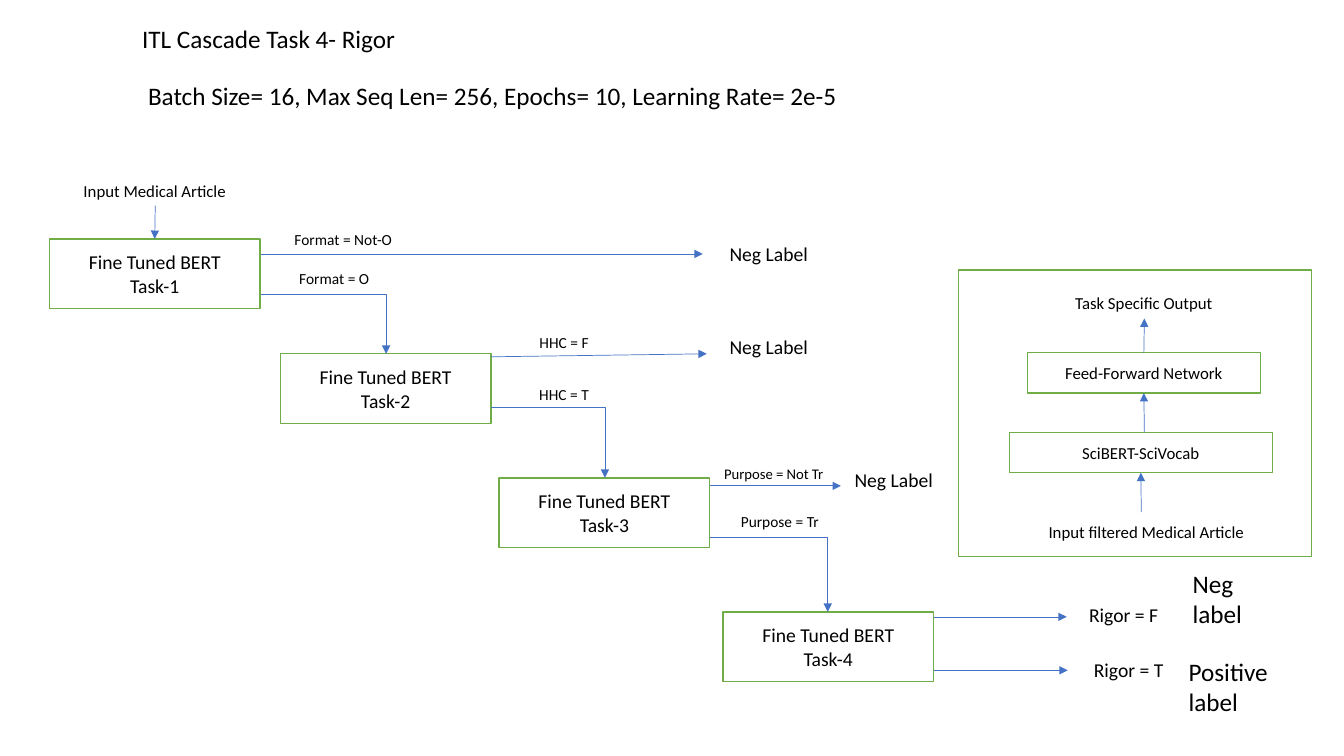
from lxml import etree
from pptx import Presentation
from pptx.dml.color import RGBColor
from pptx.enum.shapes import MSO_CONNECTOR, MSO_SHAPE
from pptx.enum.text import MSO_ANCHOR, PP_ALIGN
from pptx.oxml.ns import qn
from pptx.util import Inches, Pt

RECT = MSO_SHAPE.RECTANGLE
STRAIGHT, ELBOW = MSO_CONNECTOR.STRAIGHT, MSO_CONNECTOR.ELBOW
LEFT, CENTER = PP_ALIGN.LEFT, PP_ALIGN.CENTER
TOP, MIDDLE = MSO_ANCHOR.TOP, MSO_ANCHOR.MIDDLE
TOP_SITE, BOTTOM_SITE = 0, 2

FONT = "Calibri"
COLORS = {"text": "000000", "fill": "FFFFFF", "border": "70AD47", "arrow": "4472C4"}

STAGE_W, STAGE_H = 2.09, 0.69
STAGES = [(0.49, 2.37), (2.78, 3.51), (4.95, 4.74), (7.17, 6.07)]

# Arrows leaving the stages: x1, y1, x2, y2
OUTCOME_ARROWS = [
    (2.59, 2.52, 6.97, 2.52),
    (4.87, 3.54, 7.01, 3.51),
    (7.04, 4.82, 8.34, 4.82),
    (9.26, 6.12, 10.58, 6.12),
    (9.26, 6.65, 10.59, 6.65),
]
NEXT_STAGE_ARROWS = [
    (2.59, 2.92, 3.83, 3.51),
    (4.87, 4.04, 6.0, 4.74),
    (7.04, 5.33, 8.21, 6.07),
]

# Centred labels: text, left, top, width, height, size
LABELS = [
    ("Input Medical Article", 0.62, 1.74, 1.83, 0.3, 12),
    ("Format = Not-O", 2.49, 2.23, 1.83, 0.29, 11),
    ("Format = O", 2.6, 2.62, 1.43, 0.29, 11),
    ("HHC = F", 4.88, 3.26, 1.43, 0.29, 11),
    ("HHC = T", 4.88, 3.77, 1.43, 0.29, 11),
    ("Purpose = Not Tr", 6.96, 4.56, 1.43, 0.29, 10.5),
    ("Purpose = Tr", 6.98, 5.03, 1.51, 0.29, 11),
    ("Neg Label", 7.04, 2.35, 1.17, 0.34, 14),
    ("Neg Label", 7.04, 3.27, 1.17, 0.34, 14),
    ("Neg Label", 8.28, 4.59, 1.17, 0.34, 14),
    ("Rigor = F", 10.56, 5.93, 1.17, 0.34, 14),
    ("Rigor = T", 10.61, 6.48, 1.17, 0.34, 14),
    ("Input filtered Medical Article", 10.21, 5.13, 2.32, 0.3, 12),
    ("Task Specific Output", 10.19, 2.86, 2.31, 0.3, 12),
]


def color(name):
    return RGBColor.from_string(COLORS[name])


def write(sp, lines, size, align, anchor):
    tf = sp.text_frame
    tf.word_wrap = True
    tf.vertical_anchor = anchor
    for i, line in enumerate(lines):
        p = tf.add_paragraph() if i else tf.paragraphs[0]
        p.text = line
        p.alignment = align
        p.font.name = FONT
        p.font.size = Pt(size)
        p.font.color.rgb = color("text")


def add_label(slide, text, x, y, w, h, size, align=CENTER):
    sp = slide.shapes.add_textbox(Inches(x), Inches(y), Inches(w), Inches(h))
    write(sp, [text], size, align, TOP)


def add_box(slide, x, y, w, h, lines=(), size=12):
    sp = slide.shapes.add_shape(RECT, Inches(x), Inches(y), Inches(w), Inches(h))
    sp.shadow.inherit = False
    sp.fill.solid()
    sp.fill.fore_color.rgb = color("fill")
    sp.line.color.rgb = color("border")
    sp.line.width = Pt(1)
    write(sp, lines, size, CENTER, MIDDLE)
    return sp


def add_arrow(slide, x1, y1, x2, y2, kind=STRAIGHT, begin=None, end=None):
    """begin and end are boxes joined at their top and bottom sides."""
    cx = slide.shapes.add_connector(kind, Inches(x1), Inches(y1), Inches(x2), Inches(y2))
    if begin:
        cx.begin_connect(*begin)
    if end:
        cx.end_connect(*end)
    cx.line.color.rgb = color("arrow")
    cx.line.width = Pt(0.5)
    sp_pr = cx._element.spPr
    if kind == ELBOW:  # a single bend: across, then down
        sp_pr.find(qn("a:prstGeom")).set("prst", "bentConnector2")
    etree.SubElement(sp_pr.find(qn("a:ln")), qn("a:tailEnd")).set("type", "triangle")
    etree.SubElement(sp_pr, qn("a:effectLst"))


def add_headings(slide):
    title = slide.shapes.title
    title.left, title.top = Inches(1.31), Inches(0.18)
    title.width, title.height = Inches(2.93), Inches(0.4)
    write(title, ["ITL Cascade Task 4- Rigor"], 18, LEFT, TOP)
    add_label(slide, "Batch Size= 16, Max Seq Len= 256, Epochs= 10, Learning Rate= 2e-5",
              1.37, 0.75, 7.28, 0.4, 18, LEFT)


def add_model_panel(slide):
    add_box(slide, 9.51, 2.68, 3.5, 2.84)
    encoder = add_box(slide, 10.01, 4.29, 2.61, 0.4, ["SciBERT-SciVocab"])
    network = add_box(slide, 10.19, 3.5, 2.31, 0.4, ["Feed-Forward Network"])
    add_arrow(slide, 11.32, 5.08, 11.32, 4.69, end=(encoder, BOTTOM_SITE))
    add_arrow(slide, 11.35, 4.29, 11.35, 3.9, end=(network, BOTTOM_SITE))
    add_arrow(slide, 11.35, 3.5, 11.35, 3.16, begin=(network, TOP_SITE))


def add_cascade(slide):
    stages = [add_box(slide, x, y, STAGE_W, STAGE_H, ["Fine Tuned BERT", f"Task-{n}"], 14)
              for n, (x, y) in enumerate(STAGES, 1)]
    add_arrow(slide, 1.54, 2.04, 1.54, 2.37, end=(stages[0], TOP_SITE))
    for points in OUTCOME_ARROWS:
        add_arrow(slide, *points)
    for points in NEXT_STAGE_ARROWS:
        add_arrow(slide, *points, kind=ELBOW)


def main():
    prs = Presentation()
    prs.slide_width, prs.slide_height = Inches(13.33), Inches(7.5)
    slide = prs.slides.add_slide(prs.slide_layouts[5])

    add_headings(slide)
    add_model_panel(slide)
    add_cascade(slide)

    # Labels and final outcomes
    for label in LABELS:
        add_label(slide, *label)
    add_label(slide, "Neg label", 11.73, 5.59, 1.11, 0.71, 18, LEFT)
    add_label(slide, "Positive label", 11.69, 6.46, 1.11, 0.71, 18, LEFT)

    prs.save("out.pptx")


if __name__ == "__main__":
    main()
